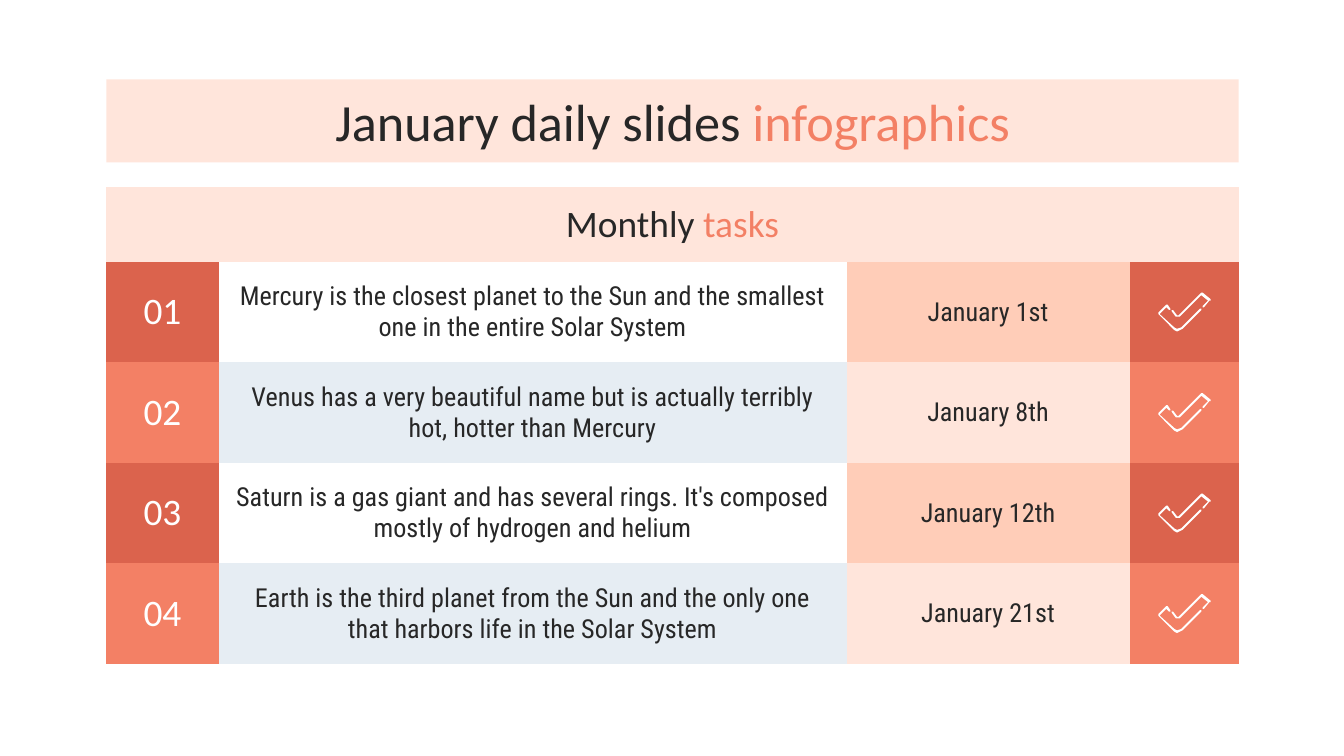
from pptx import Presentation
from pptx.dml.color import RGBColor
from pptx.enum.text import MSO_ANCHOR, MSO_AUTO_SIZE, PP_ALIGN
from pptx.oxml.ns import qn
from pptx.util import Cm, Pt

MIDDLE = MSO_ANCHOR.MIDDLE
NO_AUTOFIT = MSO_AUTO_SIZE.NONE
CENTER = PP_ALIGN.CENTER

DARK = RGBColor(0x27, 0x27, 0x27)
WHITE = RGBColor(0xFF, 0xFF, 0xFF)
CORAL = RGBColor(0xF3, 0x80, 0x65)
RED = RGBColor(0xDB, 0x63, 0x4D)
BLUSH = RGBColor(0xFF, 0xE5, 0xDB)
PEACH = RGBColor(0xFF, 0xCD, 0xB8)
MIST = RGBColor(0xE6, 0xED, 0xF3)

HEADING = "Calibri"
BODY = "Roboto Condensed"
NO_GRID_STYLE = "{2D5ABB26-0587-4C30-8999-92F81FD0307C}"

LEFT, WIDTH = 2.01, 21.4
TABLE_TOP = 3.53
HEADER_H, ROW_H = 1.42, 1.9
COLUMNS = [2.12, 11.87, 5.35, 2.06]
MARGIN = Cm(0.25)

TASKS = [
    ("Mercury is the closest planet to the Sun and the smallest one in the entire Solar System",
     "January 1st"),
    ("Venus has a very beautiful name but is actually terribly hot, hotter than Mercury",
     "January 8th"),
    ("Saturn is a gas giant and has several rings. It's composed mostly of hydrogen and helium",
     "January 12th"),
    ("Earth is the third planet from the Sun and the only one that harbors life in the Solar System",
     "January 21st"),
]

# Check mark outlines, in hundredths of an inch
CHECK_PARTS = [
    [(6, 9), (0, 15), (0, 16), (11, 27), (12.5, 28.5), (14, 29), (16, 28.5), (18, 27),
     (32, 13), (32, 12), (31, 12), (17, 26), (14, 27), (12, 26), (1, 15.5), (6, 11),
     (8, 13), (9, 13), (9, 12), (7, 9)],
    [(32, 0), (15, 17), (14, 17), (11, 13), (10, 13), (10, 14), (13, 18), (14, 18.5),
     (16, 18), (32, 1.5), (37, 6), (33, 10), (33, 11), (34, 11), (38, 6.5), (39, 6),
     (39, 5), (33, 0)],
]
CHECK_SCALE = Cm(2.54) / 100


def add_text(p, text, font=HEADING, size=20, color=DARK):
    p.alignment = CENTER
    r = p.add_run()
    r.text = text
    r.font.name = font
    r.font.size = Pt(size)
    r.font.color.rgb = color


prs = Presentation()
prs.slide_width, prs.slide_height = Cm(25.4), Cm(14.29)
s = prs.slides.add_slide(prs.slide_layouts[5])

# Title
title = s.shapes.title
title.left, title.top, title.width, title.height = Cm(LEFT), Cm(1.5), Cm(WIDTH), Cm(1.57)
title.fill.solid()
title.fill.fore_color.rgb = BLUSH
tf = title.text_frame
tf.auto_size = NO_AUTOFIT
tf.vertical_anchor = MIDDLE
tf.margin_left = tf.margin_right = tf.margin_top = tf.margin_bottom = MARGIN
add_text(tf.paragraphs[0], "January daily slides ", size=28)
add_text(tf.paragraphs[0], "infographics", size=28, color=CORAL)

# Task table
frame = s.shapes.add_table(len(TASKS) + 1, len(COLUMNS), Cm(LEFT), Cm(TABLE_TOP),
                           Cm(WIDTH), Cm(HEADER_H + ROW_H * len(TASKS)))
table = frame.table
table.horz_banding = False
table._tbl.tblPr.find(qn("a:tableStyleId")).text = NO_GRID_STYLE
for column, width in zip(table.columns, COLUMNS):
    column.width = Cm(width)
for i, row in enumerate(table.rows):
    row.height = Cm(ROW_H if i else HEADER_H)
    if i == 0:
        fills = [BLUSH] * 4
    elif i % 2:
        fills = [RED, WHITE, PEACH, RED]
    else:
        fills = [CORAL, MIST, BLUSH, CORAL]
    for cell, color in zip(row.cells, fills):
        cell.fill.solid()
        cell.fill.fore_color.rgb = color
        cell.vertical_anchor = MIDDLE
        cell.margin_left = cell.margin_right = MARGIN
        cell.margin_top = cell.margin_bottom = MARGIN

# Table header
header = table.cell(0, 0)
header.merge(table.cell(0, 3))
p = header.text_frame.paragraphs[0]
add_text(p, "Monthly")
add_text(p, " tasks", color=CORAL)

# Task rows, each with a check mark
for i, (task, date) in enumerate(TASKS, start=1):
    number, description, day = [table.cell(i, c).text_frame.paragraphs[0] for c in range(3)]
    add_text(number, f"{i:02}", color=WHITE)
    add_text(description, task, font=BODY, size=14)
    add_text(day, date, font=BODY, size=14)

    check = s.shapes.add_group_shape()
    for points in CHECK_PARTS:
        builder = check.shapes.build_freeform(*points[0], scale=CHECK_SCALE)
        builder.add_line_segments(points[1:], close=True)
        sp = builder.convert_to_shape(Cm(21.89), Cm(5.53 + ROW_H * (i - 1)))
        sp.fill.solid()
        sp.fill.fore_color.rgb = WHITE
        sp.line.fill.background()
        sp.shadow.inherit = False

prs.save("out.pptx")
